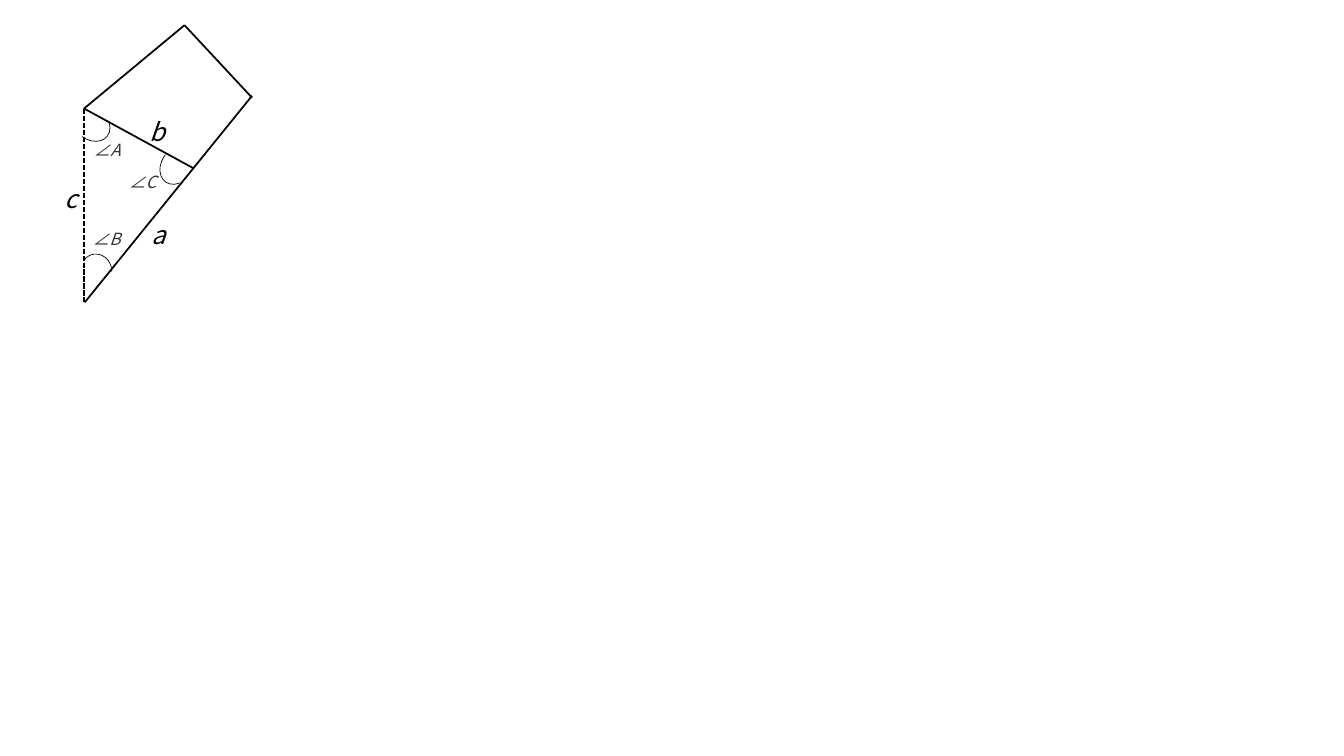
from pptx import Presentation
from pptx.dml.color import RGBColor
from pptx.enum.dml import MSO_LINE
from pptx.enum.shapes import MSO_CONNECTOR, MSO_SHAPE
from pptx.enum.text import MSO_AUTO_SIZE
from pptx.oxml.ns import qn
from pptx.util import Inches, Pt

STRAIGHT = MSO_CONNECTOR.STRAIGHT
ARC = MSO_SHAPE.ARC
DASH = MSO_LINE.SQUARE_DOT
FIT_TEXT = MSO_AUTO_SIZE.SHAPE_TO_FIT_TEXT


def color(value):
    return RGBColor.from_string(value)


class GeometrySlide:
    """Draws the lines, angle arcs and labels of a geometry figure on one slide."""

    font_name = "Noto Sans CJK SC"
    ink = "000000"
    angle_ink = "333333"

    def __init__(self, presentation):
        self.slide = presentation.slides.add_slide(presentation.slide_layouts[6])

    def style_line(self, line, width):
        line.color.rgb = color(self.ink)
        line.width = Pt(width)

    def edge(self, start, end, dash=None):
        connector = self.slide.shapes.add_connector(
            STRAIGHT, *(Inches(value) for value in start + end))
        self.style_line(connector.line, 1.25)
        if dash is not None:
            connector.line.dash_style = dash
        properties = connector._element.spPr
        properties.append(properties.makeelement(qn("a:effectLst"), {}))

    def angle_arc(self, left, top, height, rotation, sweep_end):
        shape = self.slide.shapes.add_shape(
            ARC, Inches(left), Inches(top), Inches(0.31), Inches(height))
        shape.shadow.inherit = False
        shape.fill.background()
        self.style_line(shape.line, 0.5)
        shape.adjustments[0] = 137.04
        shape.adjustments[1] = sweep_end
        shape.rotation = rotation

    def label(self, text, left, top, width, height, size, ink, wrap):
        box = self.slide.shapes.add_textbox(
            Inches(left), Inches(top), Inches(width), Inches(height))
        text_frame = box.text_frame
        text_frame.word_wrap = wrap
        text_frame.auto_size = FIT_TEXT
        text_frame.text = text
        font = text_frame.paragraphs[0].runs[0].font
        font.name = self.font_name
        font.size = Pt(size)
        font.italic = True
        font.color.rgb = color(ink)

    def side_label(self, text, left, top, width):
        self.label(text, left, top, width, 0.4, 18, self.ink, False)

    def angle_label(self, text, left, top):
        self.label(text, left, top, 0.56, 0.3, 12, self.angle_ink, True)


def main():
    presentation = Presentation()
    presentation.slide_width = Inches(13.33)
    presentation.slide_height = Inches(7.5)
    figure = GeometrySlide(presentation)

    vertex_a, vertex_b, vertex_c = (0.84, 1.08), (0.84, 3), (1.92, 1.67)
    peak = (1.83, 0.25)
    figure.edge((0.83, 1.08), peak)
    figure.edge(vertex_a, vertex_c)
    figure.edge(peak, (2.5, 0.97))
    figure.edge(vertex_b, (2.5, 0.95))
    figure.edge((0.83, 1.08), (0.83, 3), DASH)

    for text, left, top, width in (
        ("c", 0.54, 1.77, 0.31),
        ("a", 1.4, 2.13, 0.33),
        ("b", 1.38, 1.1, 0.34),
    ):
        figure.side_label(text, left, top, width)

    for left, top, height, rotation, sweep_end in (
        (0.75, 1.03, 0.4, 126.6, 0),
        (1.6, 1.44, 0.4, 212.7, 5.75),
        (0.8, 2.52, 0.34, 352.4, 5.75),
    ):
        figure.angle_arc(left, top, height, rotation, sweep_end)

    for text, left, top in (
        ("∠A", 0.83, 1.34),
        ("∠C", 1.18, 1.65),
        ("∠B", 0.82, 2.22),
    ):
        figure.angle_label(text, left, top)

    presentation.save("out.pptx")


if __name__ == "__main__":
    main()
